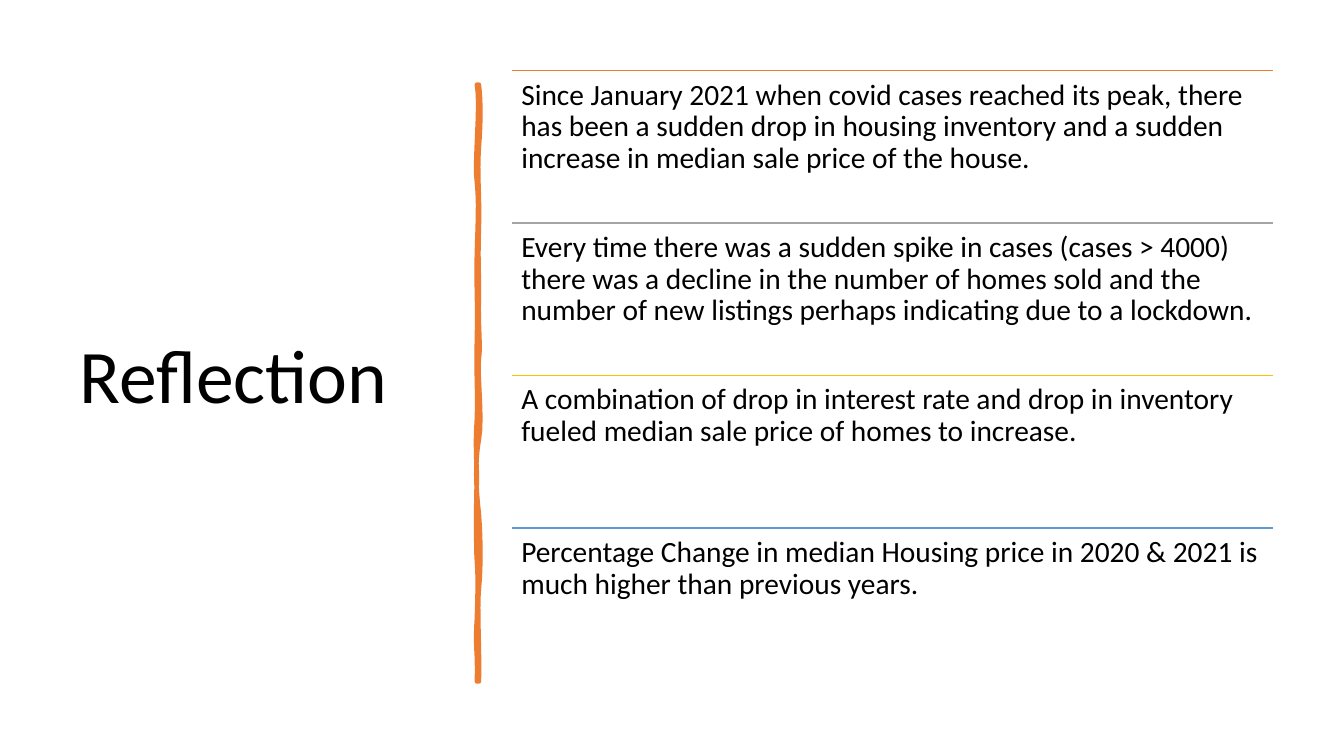
from lxml.etree import SubElement
from pptx import Presentation
from pptx.dml.color import RGBColor
from pptx.enum.shapes import MSO_CONNECTOR
from pptx.enum.text import MSO_ANCHOR
from pptx.oxml.ns import qn
from pptx.util import Inches, Pt


def color(value):
    return RGBColor.from_string(value)


def add_text(text, left, top, width, height, size, inset, anchor):
    box = page.shapes.add_textbox(Inches(left), Inches(top), Inches(width), Inches(height))
    frame = box.text_frame
    settings = {
        "word_wrap": True,
        "vertical_anchor": anchor,
        "margin_left": Inches(inset),
        "margin_right": Inches(inset),
        "margin_top": Inches(inset),
        "margin_bottom": Inches(inset),
    }
    for name, value in settings.items():
        setattr(frame, name, value)
    para = frame.paragraphs[0]
    para.line_spacing = 0.9
    span = para.add_run()
    span.text = text
    for name, value in {"name": "Calibri", "size": Pt(size)}.items():
        setattr(span.font, name, value)
    span.font.color.rgb = color("000000")


deck = Presentation()
deck.slide_width = Inches(13.33)
deck.slide_height = Inches(7.5)
page = deck.slides.add_slide(deck.slide_layouts[6])

add_text("Reflection", 0.69, 0.7, 3.74, 6.11, 54, 0.1, MSO_ANCHOR.MIDDLE)

right_x, left_x = 4.75, 4.73
bar_top, bar_bottom = 0.84, 6.76
right_curves = [
    (4.77, 1.02, 4.77, 1.19, 1.46),
    (4.73, 1.73, 4.76, 1.95, 2.26),
    (4.74, 2.57, 4.75, 2.62, 2.94),
    (4.74, 3.25, 4.77, 3.42, 3.56),
    (4.73, 3.7, 4.79, 4.14, 4.36),
    (4.71, 4.57, 4.72, 4.84, 5.1),
    (4.77, 5.36, 4.77, 5.64, 5.84),
    (4.73, 6.03, 4.76, 6.5, bar_bottom),
]
left_curves = [
    (4.74, 6.46, 4.71, 6.44, 6.13),
    (4.74, 5.83, 4.74, 5.7, 5.57),
    (4.72, 5.44, 4.72, 4.95, 4.77),
    (4.73, 4.59, 4.71, 4.45, 4.15),
    (4.74, 3.86, 4.72, 3.73, 3.35),
    (4.74, 2.98, 4.72, 2.81, 2.5),
    (4.74, 2.18, 4.75, 2, 1.81),
    (4.7, 1.63, 4.77, 1.04, bar_top),
]
steps = 8
outline = []
for edge_x, start_y, curves in [(right_x, bar_top, right_curves), (left_x, bar_bottom, left_curves)]:
    outline.append((Inches(edge_x), Inches(start_y)))
    for first_x, first_y, second_x, second_y, end_y in curves:
        for step in range(1, steps + 1):
            t = step / steps
            weights = ((1 - t) ** 3, 3 * t * (1 - t) ** 2, 3 * t * t * (1 - t), t ** 3)
            x = sum(w * v for w, v in zip(weights, (edge_x, first_x, second_x, edge_x)))
            y = sum(w * v for w, v in zip(weights, (start_y, first_y, second_y, end_y)))
            outline.append((Inches(x), Inches(y)))
        start_y = end_y

builder = page.shapes.build_freeform(*outline[0])
builder.add_line_segments(outline[1:], close=True)
bar = builder.convert_to_shape()
bar.shadow.inherit = False
bar.fill.solid()
bar.fill.fore_color.rgb = color("ED7D31")
bar.line.color.rgb = color("ED7D31")
bar.line.width = Pt(3.25)
stroke = bar.element.spPr.find(qn("a:ln"))
stroke.set("cap", "rnd")
SubElement(stroke, qn("a:round"))

reflections = [
    ("ED7D31", "Since January 2021 when covid cases reached its peak, there has been a sudden drop in housing inventory and a sudden increase in median sale price of the house."),
    ("A5A5A5", "Every time there was a sudden spike in cases (cases > 4000) there was a decline in the number of homes sold and the number of new listings perhaps indicating due to a lockdown."),
    ("FFC000", "A combination of drop in interest rate and drop in inventory fueled median sale price of homes to increase."),
    ("5B9BD5", "Percentage Change in median Housing price in 2020 & 2021 is much higher than previous years."),
]
list_left, list_top, list_width, list_height = 5.08, 0.7, 7.55, 6.05
row_height = list_height / len(reflections)
for index, (rule_color, text) in enumerate(reflections):
    top = list_top + index * row_height
    rule = page.shapes.add_connector(
        MSO_CONNECTOR.STRAIGHT,
        Inches(list_left), Inches(top), Inches(list_left + list_width), Inches(top),
    )
    rule.line.color.rgb = color(rule_color)
    rule.line.width = Pt(1)
    SubElement(rule.element.spPr, qn("a:effectLst"))
    add_text(text, list_left, top, list_width, row_height, 21, 0.09, MSO_ANCHOR.TOP)

deck.save("out.pptx")
